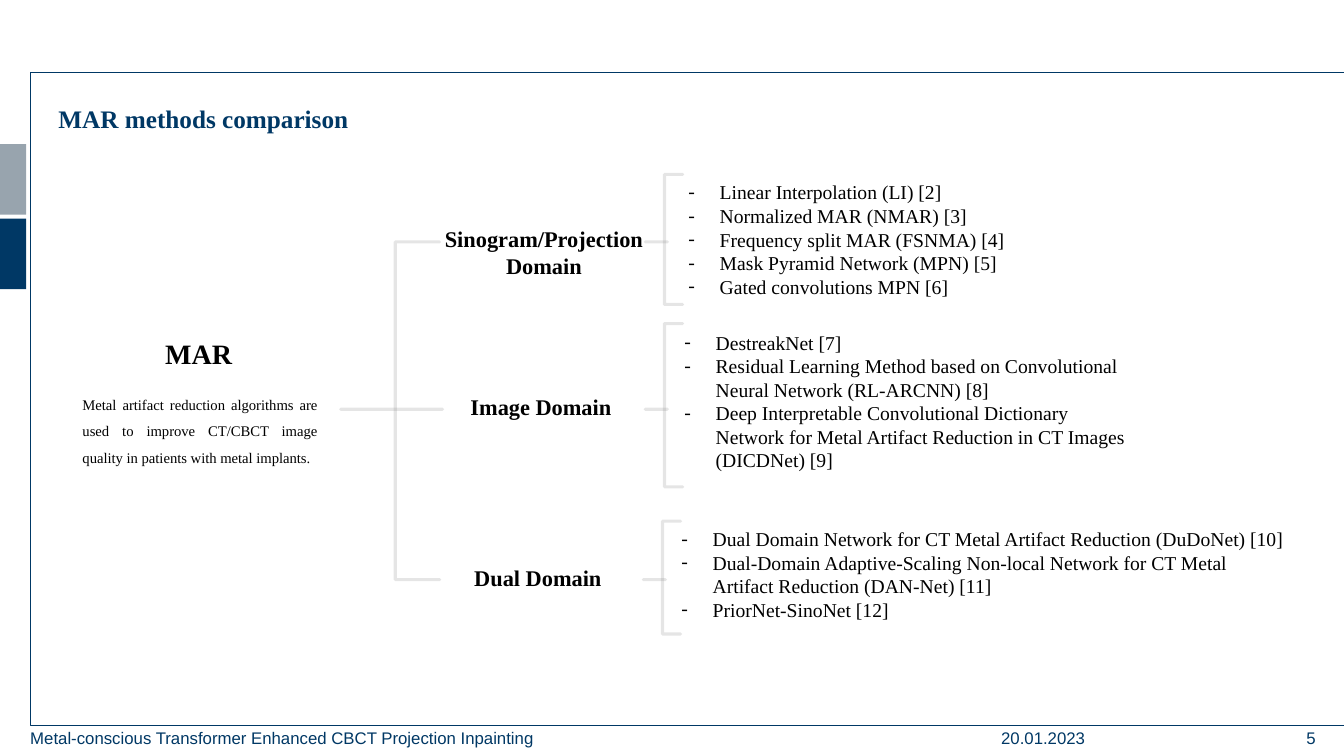
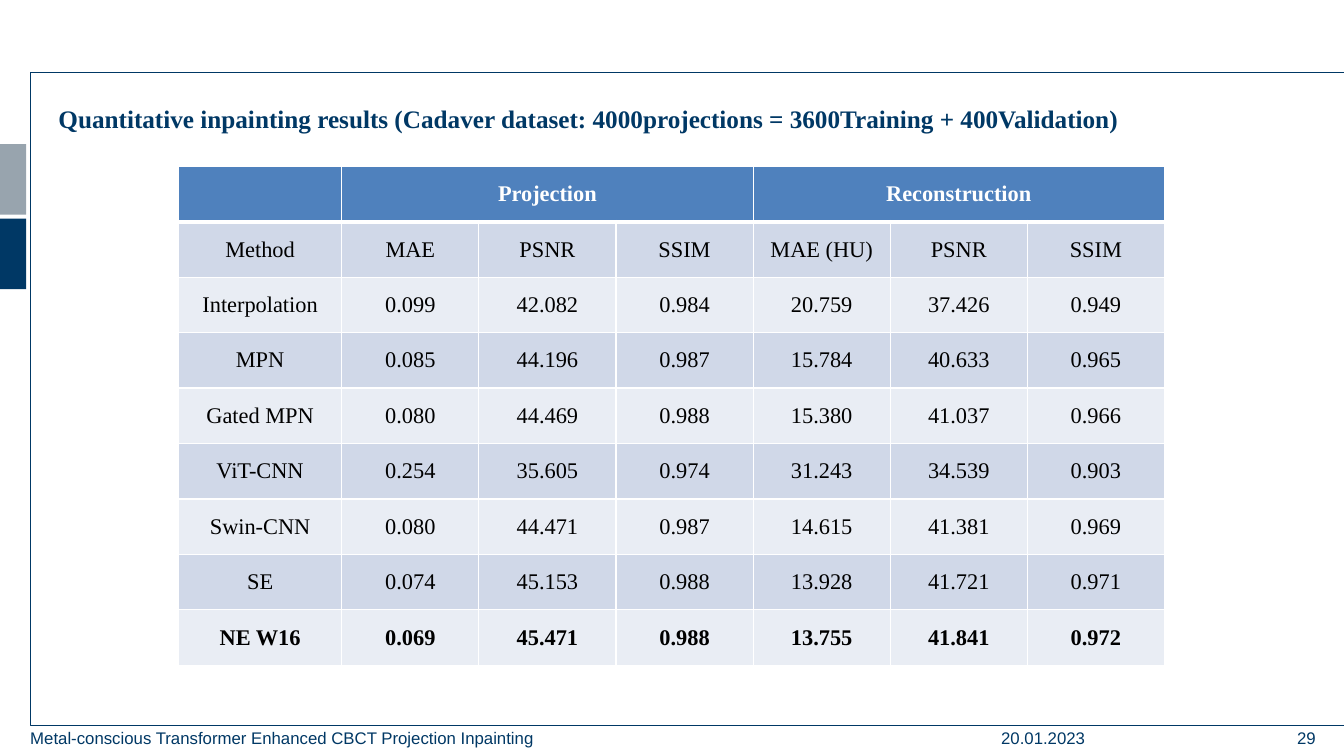
import pptx
import pptx.dml.color
import pptx.enum.shapes
import pptx.enum.text
import pptx.oxml
import pptx.oxml.ns
import pptx.util
from lxml import etree

Inches = pptx.util.Inches
Pt = pptx.util.Pt
Align = pptx.enum.text.PP_ALIGN
Anchor = pptx.enum.text.MSO_ANCHOR
qn = pptx.oxml.ns.qn

COLORS = {
    "navy": "003865", "steel": "98A4AE", "gray": "808080", "black": "000000",
    "white": "FFFFFF", "header": "4F81BD", "band": "D0D8E8", "light": "E9EDF4",
}
SERIF, SANS = "Times New Roman", "Arial"
BRANCH_OPACITY = 20

FOOTER = "Metal-conscious Transformer Enhanced CBCT Projection Inpainting"
DATE = "20.01.2023"
SIDE_BLOCKS = [("navy", 2.17), ("steel", 1.43)]

METHODS_TITLE = "MAR methods comparison"
ROOT_LABEL = "MAR"
ROOT_TEXT = ("Metal artifact reduction algorithms are used to improve CT/CBCT image "
             "quality in patients with metal implants.")
BRANCHES = [
    {"label": "Sinogram/Projection Domain", "label_box": (4.16, 2.18, 2.47, 0.64),
     "stub_y": 2.4, "bracket": (6.59, 1.73, 3.02), "list_box": (6.73, 1.74, 6.25, 1.28),
     "items": ["Linear Interpolation (LI) [2]", "Normalized MAR (NMAR) [3]",
               "Frequency split MAR (FSNMA) [4]", "Mask Pyramid Network (MPN) [5]",
               "Gated convolutions MPN [6]"]},
    {"label": "Image Domain", "label_box": (4.51, 3.85, 1.71, 0.37),
     "stub_y": 4.06, "bracket": (6.59, 3.21, 4.83), "list_box": (6.69, 3.23, 4.7, 1.51),
     "items": ["DestreakNet [7]",
               "Residual Learning Method based on Convolutional Neural Network (RL-ARCNN) [8]",
               "Deep Interpretable Convolutional Dictionary Network for Metal Artifact "
               "Reduction in CT Images (DICDNet) [9]"]},
    {"label": "Dual Domain", "label_box": (4.48, 5.54, 1.71, 0.37),
     "stub_y": 5.75, "bracket": (6.57, 5.17, 6.29), "list_box": (6.66, 5.18, 6.18, 1.04),
     "items": ["Dual Domain Network for CT Metal Artifact Reduction (DuDoNet) [10]",
               "Dual-Domain Adaptive-Scaling Non-local Network for CT Metal Artifact "
               "Reduction (DAN-Net) [11]",
               "PriorNet-SinoNet [12]"]},
]

RESULTS_TITLE = ("Quantitative inpainting results (Cadaver dataset: "
                 "4000projections = 3600Training + 400Validation)")
RESULTS = [
    ["", "Projection", "", "", "Reconstruction", "", ""],
    ["Method", "MAE", "PSNR", "SSIM", "MAE (HU)", "PSNR", "SSIM"],
    ["Interpolation", "0.099", "42.082", "0.984", "20.759", "37.426", "0.949"],
    ["MPN", "0.085", "44.196", "0.987", "15.784", "40.633", "0.965"],
    ["Gated MPN", "0.080", "44.469", "0.988", "15.380", "41.037", "0.966"],
    ["ViT-CNN", "0.254", "35.605", "0.974", "31.243", "34.539", "0.903"],
    ["Swin-CNN", "0.080", "44.471", "0.987", "14.615", "41.381", "0.969"],
    ["SE", "0.074", "45.153", "0.988", "13.928", "41.721", "0.971"],
    ["NE W16", "0.069", "45.471", "0.988", "13.755", "41.841", "0.972"],
]
COLUMN_WIDTHS = [1.62] + [1.36] * 6
ROW_HEIGHT = 0.55


def rgb(name):
    return pptx.dml.color.RGBColor.from_string(COLORS[name])


def write(paragraph, text, size, color="black", bold=False, font=SERIF, align=Align.LEFT):
    paragraph.alignment = align
    run = paragraph.add_run()
    run.text = text
    run.font.name = font
    run.font.size = Pt(size)
    run.font.bold = bold
    run.font.color.rgb = rgb(color)


def set_up_frame(frame, anchor=Anchor.TOP, inset=True):
    frame.word_wrap = True
    frame.auto_size = pptx.enum.text.MSO_AUTO_SIZE.NONE
    frame.vertical_anchor = anchor
    if not inset:
        frame.margin_left = frame.margin_top = frame.margin_right = frame.margin_bottom = 0


def add_text(slide, box, text, size, anchor=Anchor.TOP, inset=True, **style):
    frame = slide.shapes.add_textbox(*map(Inches, box)).text_frame
    set_up_frame(frame, anchor, inset)
    write(frame.paragraphs[0], text, size, **style)
    return frame


def add_list(slide, box, items):
    frame = slide.shapes.add_textbox(*map(Inches, box)).text_frame
    set_up_frame(frame)
    for index, item in enumerate(items):
        paragraph = frame.paragraphs[0] if index == 0 else frame.add_paragraph()
        properties = paragraph._p.get_or_add_pPr()
        properties.set("marL", str(Inches(0.31)))
        properties.set("indent", str(-Inches(0.31)))
        etree.SubElement(properties, qn("a:buFont")).set("typeface", SERIF)
        etree.SubElement(properties, qn("a:buChar")).set("char", "-")
        write(paragraph, item, 14)


def style_line(shape, color, width, opacity=100):
    shape.line.color.rgb = rgb(color)
    shape.line.width = Pt(width)
    if opacity < 100:
        outline = shape.line._get_or_add_ln()
        outline.set("cap", "rnd")
        color_element = outline.find(".//" + qn("a:srgbClr"))
        etree.SubElement(color_element, qn("a:alpha")).set("val", str(opacity * 1000))


def add_bracket(slide, left, top, right, bottom, color, width, opacity=100):
    builder = slide.shapes.build_freeform(Inches(right), Inches(top))
    corners = [(left, top), (left, bottom), (right, bottom)]
    builder.add_line_segments([(Inches(x), Inches(y)) for x, y in corners], close=False)
    shape = builder.convert_to_shape()
    shape.shadow.inherit = False
    shape.fill.background()
    style_line(shape, color, width, opacity)


def add_branch_bracket(slide, left, top, right, bottom):
    add_bracket(slide, left, top, right, bottom, "gray", 2.25, BRANCH_OPACITY)


def add_branch_line(slide, start, end, y):
    connector = slide.shapes.add_connector(
        pptx.enum.shapes.MSO_CONNECTOR.STRAIGHT, Inches(start), Inches(y), Inches(end), Inches(y))
    style_line(connector, "gray", 2.25, BRANCH_OPACITY)
    etree.SubElement(connector._element.spPr, qn("a:effectLst"))


def add_base_slide(presentation, title, number):
    slide = presentation.slides.add_slide(presentation.slide_layouts[5])
    for color, top in SIDE_BLOCKS:
        block = slide.shapes.add_shape(
            pptx.enum.shapes.MSO_SHAPE.RECTANGLE, 0, Inches(top), Inches(0.26), Inches(0.7))
        block.shadow.inherit = False
        block.fill.solid()
        block.fill.fore_color.rgb = rgb(color)
        block.line.fill.background()
    add_bracket(slide, 0.3, 0.72, 13.33, 7.2, "navy", 0.75)
    for left, width, text, align in [(9.93, 1.57, DATE, Align.LEFT),
                                     (0.3, 8.92, FOOTER, Align.LEFT),
                                     (12, 1.05, str(number), Align.RIGHT)]:
        add_text(slide, (left, 7.22, width, 0.21), text, 12, inset=False,
                 color="navy", font=SANS, align=align)
    heading = slide.shapes.title
    heading.left, heading.top, heading.width, heading.height = map(Inches, (0.58, 1.02, 12.4, 0.4))
    set_up_frame(heading.text_frame, inset=False)
    write(heading.text_frame.paragraphs[0], title, 18, color="navy", bold=True)
    return slide


def build_methods(presentation):
    slide = add_base_slide(presentation, METHODS_TITLE, 5)
    add_text(slide, (0.72, 3.28, 2.5, 0.44), ROOT_LABEL, 20, Anchor.BOTTOM,
             bold=True, align=Align.CENTER)
    frame = add_text(slide, (0.72, 3.79, 2.53, 0.86), ROOT_TEXT, 10.5, align=Align.JUSTIFY)
    frame.paragraphs[0].line_spacing = 1.5
    add_branch_bracket(slide, 3.92, BRANCHES[0]["stub_y"], 4.36, BRANCHES[-1]["stub_y"])
    add_branch_line(slide, 3.38, 4.39, BRANCHES[1]["stub_y"])
    for branch in BRANCHES:
        left, top, bottom = branch["bracket"]
        add_text(slide, branch["label_box"], branch["label"], 16, Anchor.MIDDLE,
                 bold=True, align=Align.CENTER)
        add_branch_line(slide, left - 0.19, left + 0.03, branch["stub_y"])
        add_branch_bracket(slide, left, top, left + 0.18, bottom)
        add_list(slide, branch["list_box"], branch["items"])


def set_borders(cell, top_width, bottom_width):
    properties = cell._tc.get_or_add_tcPr()
    for side, width in [("L", 1), ("R", 1), ("T", top_width), ("B", bottom_width)]:
        border = etree.SubElement(properties, qn("a:ln" + side), w=str(Pt(width)))
        fill = etree.SubElement(border, qn("a:solidFill"))
        etree.SubElement(fill, qn("a:srgbClr")).set("val", COLORS["white"])


def build_results(presentation):
    slide = add_base_slide(presentation, RESULTS_TITLE, 29)
    last = len(RESULTS) - 1
    table = slide.shapes.add_table(
        len(RESULTS), len(COLUMN_WIDTHS), Inches(1.77), Inches(1.65),
        Inches(sum(COLUMN_WIDTHS)), Inches(ROW_HEIGHT * len(RESULTS))).table
    table.horz_banding = False
    for column, width in zip(table.columns, COLUMN_WIDTHS):
        column.width = Inches(width)
    for start in (1, 4):
        table.cell(0, start).merge(table.cell(0, start + 2))
    for row, values in enumerate(RESULTS):
        table.rows[row].height = Inches(ROW_HEIGHT)
        fill = "header" if row == 0 else ("light", "band")[row % 2]
        for column, value in enumerate(values):
            cell = table.cell(row, column)
            set_borders(cell, 3 if row == 1 else 1, 3 if row == 0 else 1)
            cell.fill.solid()
            cell.fill.fore_color.rgb = rgb(fill)
            cell.vertical_anchor = Anchor.MIDDLE
            if value:
                write(cell.text_frame.paragraphs[0], value, 16,
                      color="white" if row == 0 else "black",
                      bold=row in (0, last), align=Align.CENTER)


def main():
    presentation = pptx.Presentation()
    presentation.slide_width = Inches(13.33)
    presentation.slide_height = Inches(7.5)
    build_methods(presentation)
    build_results(presentation)
    presentation.save("out.pptx")


if __name__ == "__main__":
    main()
